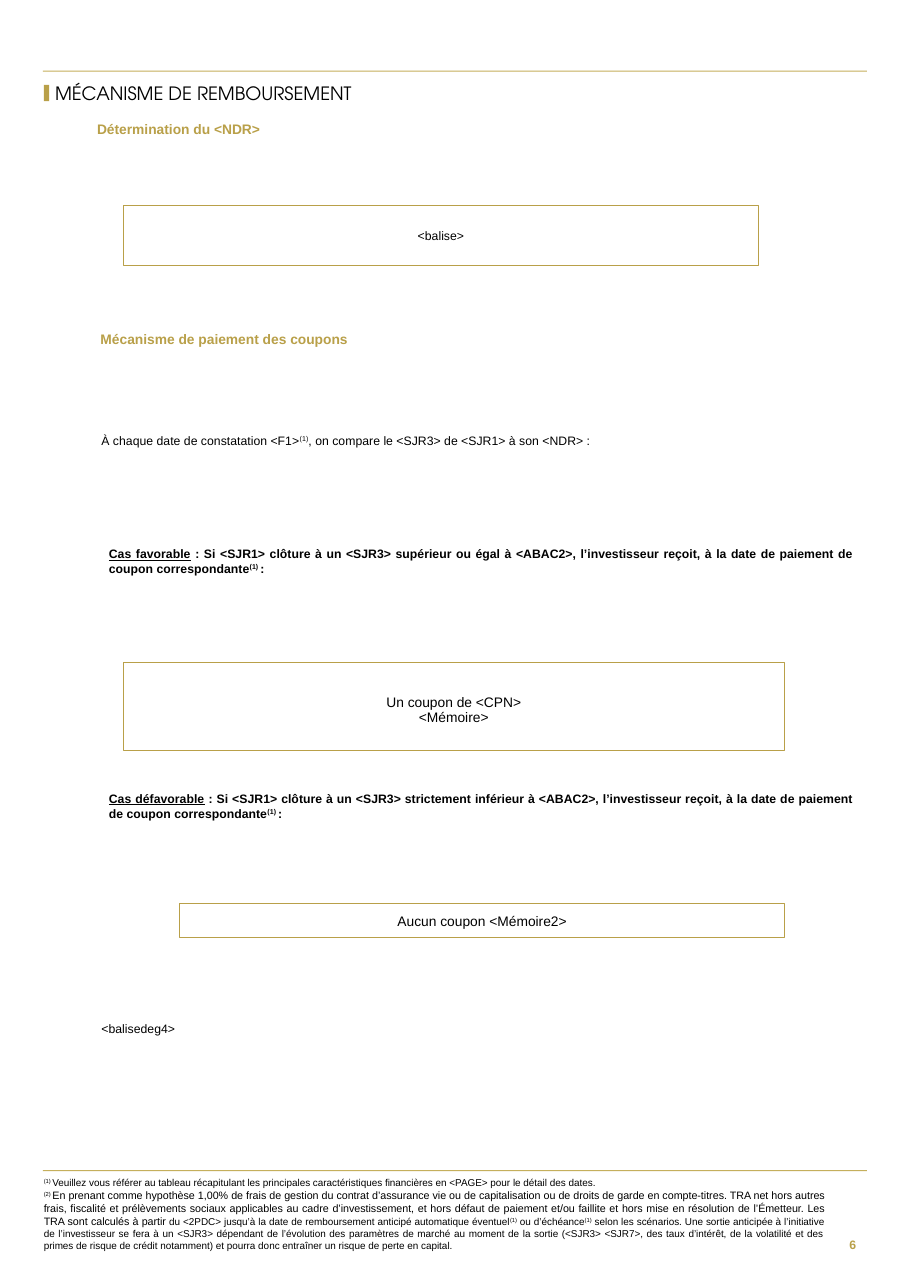
"""Build the coupon and redemption mechanism page of a structured product brochure."""
from dataclasses import dataclass
from typing import Optional

from pptx import Presentation
from pptx import util as u
from pptx.dml.color import RGBColor
from pptx.enum import shapes, text

LEFT, CENTER, RIGHT, JUSTIFY = (
    text.PP_ALIGN.LEFT, text.PP_ALIGN.CENTER, text.PP_ALIGN.RIGHT, text.PP_ALIGN.JUSTIFY)


@dataclass(frozen=True)
class Theme:
    gold: RGBColor = RGBColor(0xB9, 0xA0, 0x49)
    rule: RGBColor = RGBColor(0xC5, 0xAF, 0x5C)
    black: RGBColor = RGBColor(0, 0, 0)
    white: RGBColor = RGBColor(255, 255, 255)
    body_font: str = "Arial"
    title_font: str = "TeX Gyre Adventor"
    title: float = 12
    heading: float = 9
    body: float = 8
    note: float = 6.5
    large_note: float = 7


THEME = Theme()


@dataclass(frozen=True)
class Area:
    left: float
    top: float
    width: float
    height: float

    def lengths(self) -> tuple:
        return tuple(u.Pt(value) for value in (self.left, self.top, self.width, self.height))


@dataclass(frozen=True)
class Span:
    text: str
    raised: bool = False
    underline: bool = False
    size: Optional[float] = None


@dataclass(frozen=True)
class Style:
    size: float = THEME.body
    color: RGBColor = THEME.black
    font: str = THEME.body_font
    bold: bool = False
    align: text.PP_ALIGN = JUSTIFY
    spacing: Optional[float] = None
    middle: bool = False
    margins: tuple = (0, 0, 0, 0)


@dataclass(frozen=True)
class Block:
    area: Area
    paragraphs: list
    style: Style = Style()


@dataclass(frozen=True)
class Frame:
    block: Block
    line_width: float
    filled: bool = True


def write(shape, paragraphs: list, style: Style) -> None:
    frame = shape.text_frame
    frame.word_wrap = True
    frame.auto_size = text.MSO_AUTO_SIZE.NONE
    frame.vertical_anchor = text.MSO_ANCHOR.MIDDLE if style.middle else text.MSO_ANCHOR.TOP
    frame.margin_left, frame.margin_top, frame.margin_right, frame.margin_bottom = (
        u.Pt(margin) for margin in style.margins)
    for index, spans in enumerate(paragraphs):
        paragraph = frame.add_paragraph() if index else frame.paragraphs[0]
        paragraph.alignment = style.align
        if style.spacing:
            paragraph.line_spacing = style.spacing
        for span in spans:
            run = paragraph.add_run()
            run.text = span.text
            run.font.name = style.font
            run.font.size = u.Pt(span.size or style.size)
            run.font.bold = style.bold
            run.font.underline = span.underline
            run.font.color.rgb = style.color
            if span.raised:
                run.font._element.set("baseline", "30000")


def add_text(slide, block: Block) -> None:
    write(slide.shapes.add_textbox(*block.area.lengths()), block.paragraphs, block.style)


def add_rectangle(slide, area: Area, fill: Optional[RGBColor]):
    shape = slide.shapes.add_shape(shapes.MSO_SHAPE.RECTANGLE, *area.lengths())
    shape.shadow.inherit = False
    if fill is None:
        shape.fill.background()
    else:
        shape.fill.solid()
        shape.fill.fore_color.rgb = fill
    shape.line.fill.background()
    return shape


def add_frame(slide, frame: Frame) -> None:
    shape = add_rectangle(slide, frame.block.area, THEME.white if frame.filled else None)
    shape.line.color.rgb = THEME.gold
    shape.line.width = u.Pt(frame.line_width)
    write(shape, frame.block.paragraphs, frame.block.style)


def add_title(slide, block: Block) -> None:
    title = slide.shapes.title
    title.left, title.top, title.width, title.height = block.area.lengths()
    write(title, block.paragraphs, block.style)


def case_block(top: float, name: str, condition: str) -> Block:
    sentence = (f" : Si <SJR1> clôture à un <SJR3> {condition} à <ABAC2>, l’investisseur reçoit, "
                "à la date de paiement de coupon correspondante")
    spans = [Span(name, underline=True), Span(sentence), Span("(1) ", raised=True), Span(": ")]
    return Block(Area(71.2, top, 487, 19.5), [spans], Style(bold=True))


HEADING = Style(THEME.heading, THEME.gold, bold=True, align=LEFT, margins=(14.4, 0, 0, 0))
TITLE = Block(Area(36, 52.6, 303, 18), [[Span("MÉCANISME DE REMBOURSEMENT")]],
              Style(THEME.title, font=THEME.title_font, align=LEFT, spacing=0.9, middle=True))
BARS = [
    (Area(28.1, 46.1, 538.6, 0.7), THEME.rule),
    (Area(28.1, 764.6, 538.6, 0.7), THEME.rule),
    (Area(28.6, 55.4, 3.6, 10.8), THEME.gold),
]
NOTES = [
    [Span("(1) ", raised=True),
     Span("Veuillez vous référer au tableau récapitulant les principales caractéristiques "
          "financières en <PAGE> pour le détail des dates. ")],
    [Span("(2) ", raised=True),
     Span("En prenant comme hypothèse 1,00% de frais de gestion du contrat d’assurance vie ou de "
          "capitalisation ou de droits de garde en compte-titres. TRA net hors autres frais, "
          "fiscalité et prélèvements sociaux applicables au cadre d’investissement, et hors "
          "défaut de paiement et/ou faillite et hors mise en résolution de l’Émetteur. Les TRA "
          "sont calculés à partir ", size=THEME.large_note),
     Span("du <2PDC> jusqu’à la date de remboursement anticipé automatique éventuel"),
     Span("(1)", raised=True),
     Span(" ou d’échéance"),
     Span("(1)", raised=True),
     Span(" selon les scénarios. Une sortie anticipée à l’initiative de l’investisseur se fera à "
          "un <SJR3> dépendant de l’évolution des paramètres de marché au moment de la sortie "
          "(<SJR3> <SJR7>, des taux d’intérêt, de la volatilité et des primes de risque de crédit "
          "notamment) et pourra donc entraîner un risque de perte en capital.")],
]
BLOCKS = [
    Block(Area(538.6, 798.5, 28.1, 30.2), [[Span("6")]],
          Style(color=THEME.gold, bold=True, align=RIGHT, middle=True,
                margins=(7.2, 3.6, 7.2, 3.6))),
    Block(Area(28.6, 769, 510.5, 49), NOTES, Style(THEME.note)),
    Block(Area(49, 79.2, 228, 13), [[Span("Détermination du <NDR>")]], HEADING),
    Block(Area(51.3, 216, 487.4, 12.2), [[Span("Mécanisme de paiement des coupons")]], HEADING),
    Block(Area(66.3, 283, 473, 9.4),
          [[Span("À chaque date de constatation <F1>"), Span("(1)", raised=True),
            Span(", on compare le <SJR3> de <SJR1> à son <NDR> :")]]),
    case_block(357.1, "Cas favorable", "supérieur ou égal"),
    case_block(517, "Cas défavorable", "strictement inférieur"),
    Block(Area(66.3, 667.4, 486.7, 9.4), [[Span("<balisedeg4>")]]),
]
FRAMES = [
    Frame(Block(Area(80.9, 134.4, 414.7, 39), [[Span("<balise>")]],
                Style(align=CENTER, middle=True, margins=(8.6, 14.4, 8.6, 14.4))), 0.5, False),
    Frame(Block(Area(80.6, 433.2, 432, 57.4), [[Span("Un coupon de <CPN>")], [Span("<Mémoire>")]],
                Style(THEME.heading, align=CENTER, spacing=0.9, middle=True,
                      margins=(8.6, 10.8, 8.6, 5.8))), 0.75),
    Frame(Block(Area(117.1, 590.4, 396, 22.3), [[Span("Aucun coupon <Mémoire2>")]],
                Style(THEME.heading, align=CENTER, middle=True,
                      margins=(8.6, 5.8, 8.6, 5.8))), 0.75),
]


def main() -> None:
    presentation = Presentation()
    presentation.slide_width, presentation.slide_height = u.Pt(595.44), u.Pt(841.68)
    slide = presentation.slides.add_slide(presentation.slide_layouts[5])
    add_title(slide, TITLE)
    for area, color in BARS:
        add_rectangle(slide, area, color)
    for frame in FRAMES:
        add_frame(slide, frame)
    for block in BLOCKS:
        add_text(slide, block)
    presentation.save("out.pptx")


if __name__ == "__main__":
    main()
